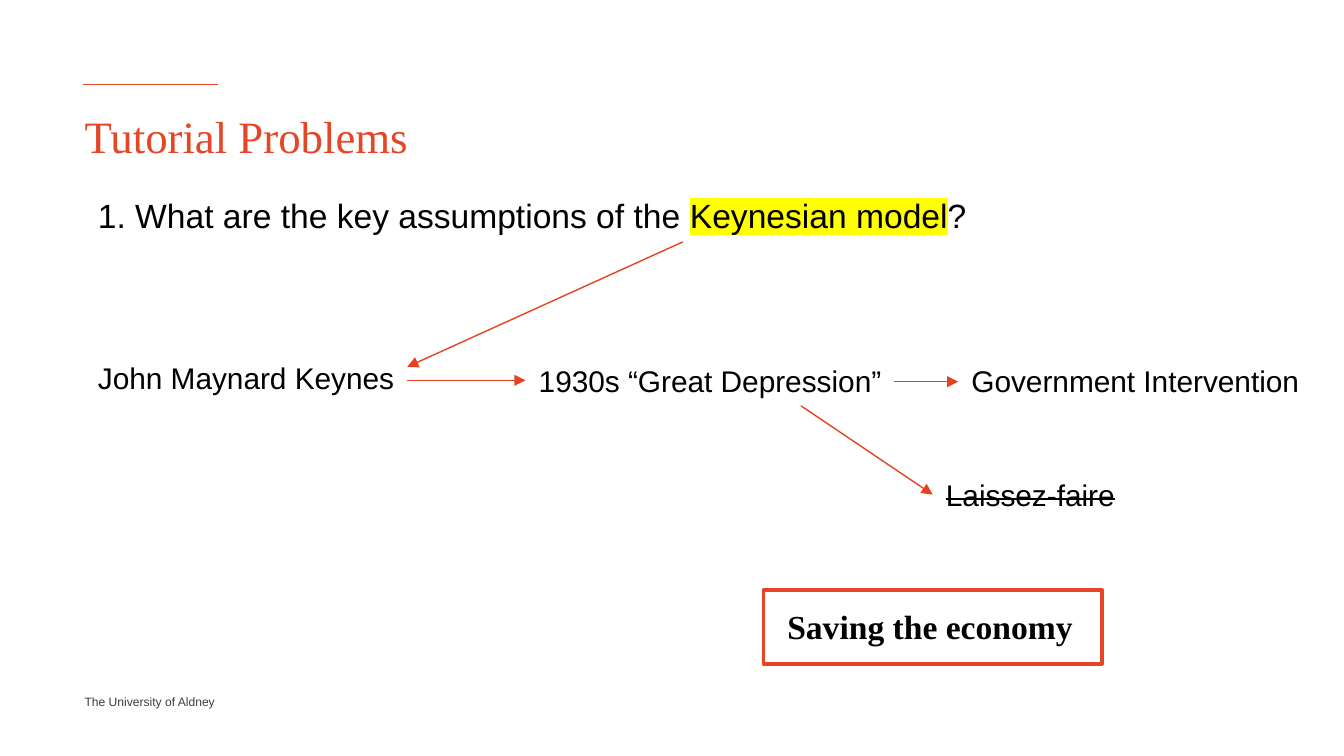
from lxml import etree
from pptx import Presentation
from pptx.dml.color import RGBColor
from pptx.enum.shapes import MSO_CONNECTOR, MSO_SHAPE
from pptx.enum.text import MSO_ANCHOR, PP_ALIGN
from pptx.oxml.ns import qn
from pptx.util import Inches, Pt

LINE = MSO_CONNECTOR.STRAIGHT
RECT = MSO_SHAPE.RECTANGLE
TOP = MSO_ANCHOR.TOP
LEFT = PP_ALIGN.LEFT

ORANGE = RGBColor(0xE6, 0x46, 0x26)
ARROW = RGBColor(0xE6, 0x41, 0x20)
BLACK = RGBColor(0, 0, 0)
GREY = RGBColor(0x3C, 0x3C, 0x3B)
WHITE = RGBColor(0xFF, 0xFF, 0xFF)
YELLOW = RGBColor(0xFF, 0xFF, 0)
SANS, SERIF = "Arial", "Times New Roman"


def add_run(par, text, size, font=SANS, color=BLACK, bold=False):
    run = par.add_run()
    run.text = text
    run.font.size = Pt(size)
    run.font.name = font
    run.font.color.rgb = color
    run.font.bold = bold
    return run


def mark(run, color):
    # Highlight follows the fill in the run properties
    props = run.font._element
    light = etree.Element(qn("a:highlight"))
    etree.SubElement(light, qn("a:srgbClr")).set("val", str(color))
    props.find(qn("a:solidFill")).addnext(light)


def strike(run):
    run.font._element.set("strike", "sngStrike")


def set_frame(frame, flush=False):
    frame.word_wrap = True
    frame.vertical_anchor = TOP
    if flush:
        frame.margin_left = frame.margin_right = 0
        frame.margin_top = frame.margin_bottom = 0
    par = frame.paragraphs[0]
    par.alignment = LEFT
    return par


def add_text(slide, x, y, w, h, flush=False):
    box = slide.shapes.add_textbox(Inches(x), Inches(y), Inches(w), Inches(h))
    return set_frame(box.text_frame, flush)


def add_line(slide, x1, y1, x2, y2, color=ARROW, head=True):
    line = slide.shapes.add_connector(
        LINE, Inches(x1), Inches(y1), Inches(x2), Inches(y2))
    line.line.color.rgb = color
    line.line.width = Pt(0.75)
    if head:
        tail = etree.SubElement(line.line._get_or_add_ln(), qn("a:tailEnd"))
        tail.set("type", "triangle")
    etree.SubElement(line._element.spPr, qn("a:effectLst"))


def add_header(slide, x, y, w):
    # Short rule above the title
    add_line(slide, x, y, x + 1, y, ORANGE, head=False)
    title = slide.shapes.title
    title.left, title.top = Inches(x + 0.01), Inches(y + 0.18)
    title.width, title.height = Inches(w), Inches(0.4)
    par = set_frame(title.text_frame, flush=True)
    add_run(par, "Tutorial Problems", 24, SERIF, ORANGE)


def add_question(slide, x, y, w):
    par = add_text(slide, x, y, w, 0.4)
    add_run(par, "1. What are the key assumptions of the ", 18)
    mark(add_run(par, "Keynesian model", 18), YELLOW)
    add_run(par, "?", 18)


def add_flow(slide, x, y):
    # Ideas, placed from the corner of the flow
    labels = [
        ("John Maynard Keynes", 0, 0.83, 2.99),
        ("1930s “Great Depression”", 3.28, 0.85, 4.09),
        ("Government Intervention", 6.5, 0.85, 2.67),
        ("Laissez-faire", 6.31, 1.7, 2.13),
    ]
    for text, dx, dy, w in labels:
        run = add_run(add_text(slide, x + dx, y + dy, w, 0.37), text, 16)
        if text == "Laissez-faire":
            strike(run)

    # Arrows between the ideas
    arrows = [
        (4.45, 0, 2.4, 0.93),
        (2.4, 1.03, 3.28, 1.03),
        (6.02, 1.04, 6.5, 1.04),
        (5.33, 1.22, 6.31, 1.88),
    ]
    for x1, y1, x2, y2 in arrows:
        add_line(slide, x + x1, y + y1, x + x2, y + y2)


def add_result(slide, x, y, w, h):
    box = slide.shapes.add_shape(
        RECT, Inches(x), Inches(y), Inches(w), Inches(h))
    box.shadow.inherit = False
    box.fill.solid()
    box.fill.fore_color.rgb = WHITE
    box.line.color.rgb = ORANGE
    box.line.width = Pt(2)
    par = add_text(slide, x + 0.08, y + 0.07, w - 0.08, 0.4)
    add_run(par, "Saving the economy", 18, SERIF, bold=True)


def add_footer(slide, x, y):
    par = add_text(slide, x, y, 1.03, 0.13, flush=True)
    par.space_before = Pt(0.3)
    add_run(par, "The University of Aldney", 6.5, color=GREY)


def main():
    deck = Presentation()
    # Widescreen page, 16 to 9
    deck.slide_width = Inches(10)
    deck.slide_height = Inches(10 * 9 / 16)
    slide = deck.slides.add_slide(deck.slide_layouts[5])
    add_footer(slide, 0.63, 5.17)
    add_header(slide, 0.62, 0.63, 8.74)
    add_question(slide, 0.63, 1.4, 9.09)
    add_flow(slide, 0.63, 1.8)
    add_result(slide, 5.68, 4.39, 2.52, 0.55)
    deck.save("out.pptx")


if __name__ == "__main__":
    main()
